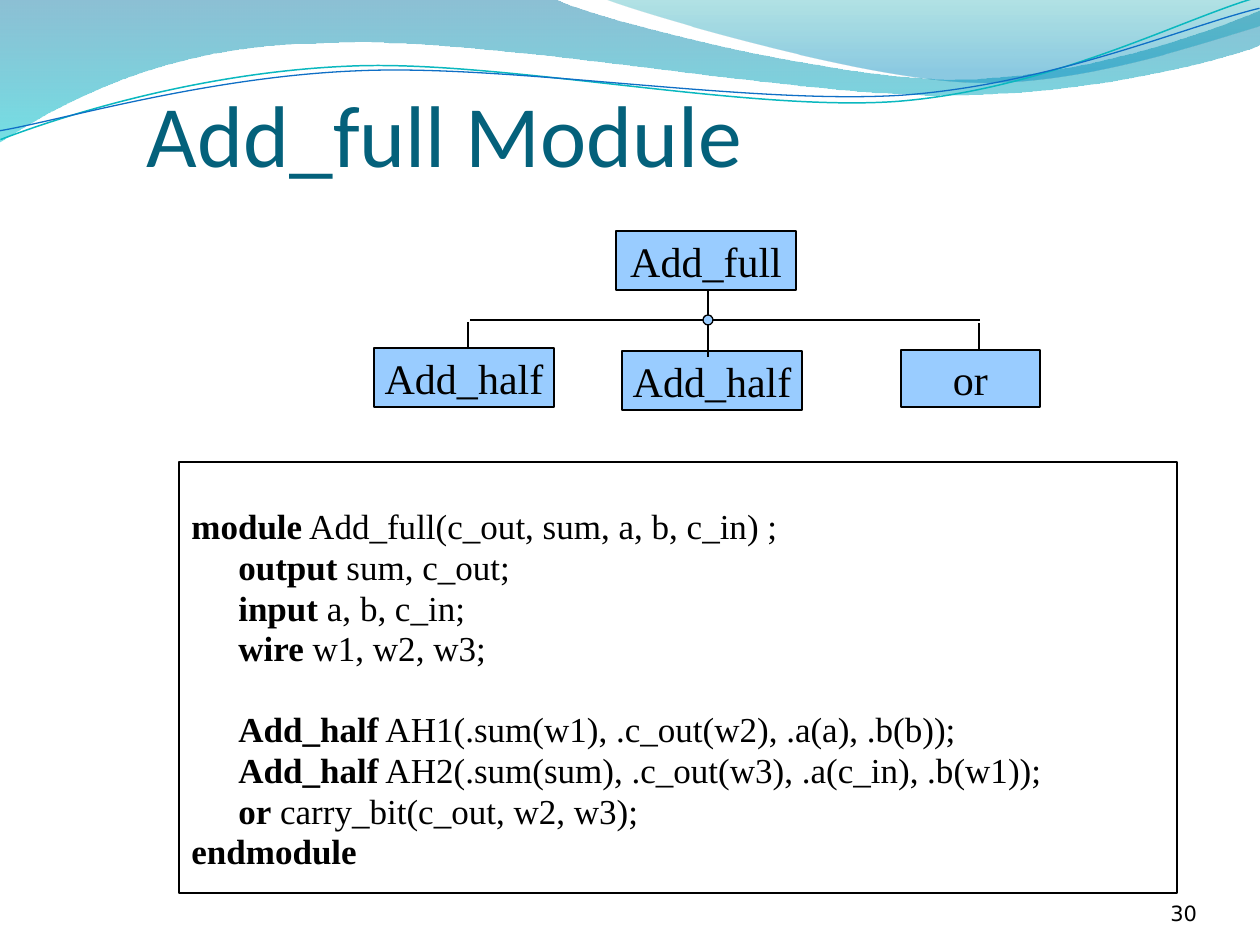
from dataclasses import dataclass

from lxml.etree import SubElement
from pptx import Presentation
from pptx.dml.color import RGBColor
from pptx.enum.shapes import MSO_CONNECTOR, MSO_SHAPE
from pptx.enum.text import MSO_ANCHOR, PP_ALIGN
from pptx.oxml.ns import qn
from pptx.util import Pt

PX = 914400 / 126  # EMU per px


@dataclass
class Theme:
    black = RGBColor.from_string("000000")
    title = RGBColor.from_string("04617B")
    box = RGBColor.from_string("99CCFF")
    title_font = "Calibri"
    body_font = "Times New Roman"
    number_font = "DejaVu Sans"
    title_size = Pt(50)
    box_size = Pt(24)
    code_size = Pt(20)
    number_size = Pt(12)
    rule = Pt(0.75)


theme = Theme()


def emu(*lengths):
    return [round(length * PX) for length in lengths]


def wave(start, segments, close):
    """Outline of lines (one point) and cubic curves (two controls and an end)."""
    builder = slide.shapes.build_freeform(*start, scale=PX)
    builder.add_line_segments([point for segment in segments for point in segment], close=close)
    shape = builder.convert_to_shape()
    shape.shadow.inherit = False
    corners = iter(list(shape._element.iter(qn("a:lnTo"))))
    for segment in segments:
        steps = [next(corners) for _ in segment]
        if len(steps) == 3:
            steps[0].tag = qn("a:cubicBezTo")
            for step in steps[1:]:
                steps[0].append(step[0])
                step.getparent().remove(step)
    return shape


presentation = Presentation()
presentation.slide_width, presentation.slide_height = emu(1260, 945)
slide = presentation.slides.add_slide(presentation.slide_layouts[5])

# Translucent bands at the top
bands = [
    (wave((0, -1), [[(554, -1)],
                    [(600, 21), (837, 79), (955, 79)],
                    [(1075, 79), (1207, 33), (1260, 11)],
                    [(1261, 45)],
                    [(1239, 55), (1096, 96), (940, 95)],
                    [(784, 95), (481, 35), (324, 43)],
                    [(163, 44), (58, 105), (-1, 142)],
                    [(0, -1)]], True),
     [(0, "0074A1", 45), (1, "00C6CF", 55)]),
    (wave((604, -1), [[(641, 14), (859, 78), (969, 82)],
                      [(1079, 87), (1211, 40), (1260, 26)],
                      [(1260, 0)],
                      [(604, -1)]], True),
     [(0, "00A1A9", 30), (0.8, "008BBF", 45)]),
]
for band, stops in bands:
    band.line.fill.background()
    band.fill.gradient()
    band.fill.gradient_angle = 270
    for stop, (position, color, _) in zip(band.fill.gradient_stops, stops):
        stop.position = position
        stop.color.rgb = RGBColor.from_string(color)
    for element, (_, _, opacity) in zip(band._element.spPr.iter(qn("a:srgbClr")), stops):
        SubElement(element, qn("a:alpha"), val=str(opacity * 1000))

# Thin wavy lines, slightly tilted
strands = [
    ("0AB8BF", 0.85, (-2, 110), [[(58, 90), (199, 52), (350, 53)],
                                 [(499, 53), (745, 118), (896, 114)],
                                 [(1049, 109), (1184, 45), (1260, 27)]]),
    ("0F6FC6", 0.75, (-2, 101), [[(57, 94), (207, 57), (357, 58)],
                                 [(509, 58), (750, 111), (902, 108)],
                                 [(1052, 104), (1189, 52), (1262, 38)]]),
]
for color, width, start, curves in strands:
    strand = wave(start, curves, False)
    strand.rotation = 357.3
    strand.fill.background()
    strand.line.color.rgb = RGBColor.from_string(color)
    strand.line.width = Pt(width)

# Title and slide number, in front of the waves
title = slide.shapes.title
title._element.getparent().append(title._element)
title.left, title.top, title.width, title.height = emu(147, 28, 788, 157)
number = slide.shapes.add_textbox(*emu(1092, 876, 105, 50))
labels = [
    (title, "Add_full Module", PP_ALIGN.LEFT, theme.title_font, theme.title_size, theme.title),
    (number, "30", PP_ALIGN.RIGHT, theme.number_font, theme.number_size, theme.black),
]
for shape, text, alignment, font, size, color in labels:
    frame = shape.text_frame
    frame.text = text
    frame.word_wrap = True
    frame.vertical_anchor = MSO_ANCHOR.BOTTOM
    frame.margin_left = frame.margin_top = frame.margin_right = frame.margin_bottom = 0
    paragraph = frame.paragraphs[0]
    paragraph.alignment = alignment
    paragraph.font.name, paragraph.font.size = font, size
    paragraph.font.color.rgb = color

# Code panel: (indented, space before in points, keyword, rest)
code = [
    (False, 0, "module", " Add_full(c_out, sum, a, b, c_in) ;"),
    (True, 4, "output", " sum, c_out;"),
    (True, 4, "input", " a, b, c_in;"),
    (True, 4, "wire", " w1, w2, w3;"),
    (True, 27.2, "Add_half", " AH1(.sum(w1), .c_out(w2), .a(a), .b(b));"),
    (True, 4, "Add_half", " AH2(.sum(sum), .c_out(w3), .a(c_in), .b(w1));"),
    (True, 4, "or", " carry_bit(c_out, w2, w3);"),
    (False, 4, "endmodule", ""),
]
panel = slide.shapes.add_shape(MSO_SHAPE.RECTANGLE, *emu(179, 462, 998, 431))
panel.shadow.inherit = False
panel.fill.background()
panel.line.color.rgb, panel.line.width = theme.black, theme.rule
frame = panel.text_frame
frame.word_wrap = True
frame.vertical_anchor = MSO_ANCHOR.TOP
frame.margin_top = emu(51)[0]
for index, (indented, gap, keyword, rest) in enumerate(code):
    paragraph = frame.add_paragraph() if index else frame.paragraphs[0]
    paragraph.alignment = PP_ALIGN.LEFT
    paragraph.line_spacing = 0.8
    paragraph.space_before = Pt(gap)
    if indented:
        paragraph._p.get_or_add_pPr().set("marL", str(emu(47)[0]))
    paragraph.font.name, paragraph.font.size = theme.body_font, theme.code_size
    paragraph.font.color.rgb = theme.black
    for text, bold in ((keyword, True), (rest, False)):
        if text:
            run = paragraph.add_run()
            run.text, run.font.bold = text, bold

# Module boxes, connecting lines, then the junction on top
nodes = [
    ("Add_full", MSO_SHAPE.RECTANGLE, 616, 231, 180, 59),
    ("Add_half", MSO_SHAPE.RECTANGLE, 622, 351, 180, 59),
    ("or", MSO_SHAPE.RECTANGLE, 901, 350, 139, 57),
    ("Add_half", MSO_SHAPE.RECTANGLE, 374, 348, 180, 59),
    ("", MSO_SHAPE.OVAL, 703, 315, 10, 10),
]
wires = [(708, 290, 708, 357), (468, 348, 468, 322), (979, 349, 979, 323), (470, 320, 980, 320)]
for text, kind, *bounds in nodes:
    if kind == MSO_SHAPE.OVAL:
        for wire in wires:
            connector = slide.shapes.add_connector(MSO_CONNECTOR.STRAIGHT, *emu(*wire))
            connector.line.color.rgb, connector.line.width = theme.black, theme.rule
            SubElement(connector._element.spPr, qn("a:effectLst"))
    node = slide.shapes.add_shape(kind, *emu(*bounds))
    node.shadow.inherit = False
    node.fill.solid()
    node.fill.fore_color.rgb = theme.box
    node.line.color.rgb, node.line.width = theme.black, theme.rule
    if text:
        node.text_frame.text = text
        node.text_frame.word_wrap = False
        node.text_frame.vertical_anchor = MSO_ANCHOR.MIDDLE
        paragraph = node.text_frame.paragraphs[0]
        paragraph.alignment = PP_ALIGN.CENTER
        paragraph.font.name, paragraph.font.size = theme.body_font, theme.box_size
        paragraph.font.color.rgb = theme.black

presentation.save("out.pptx")
